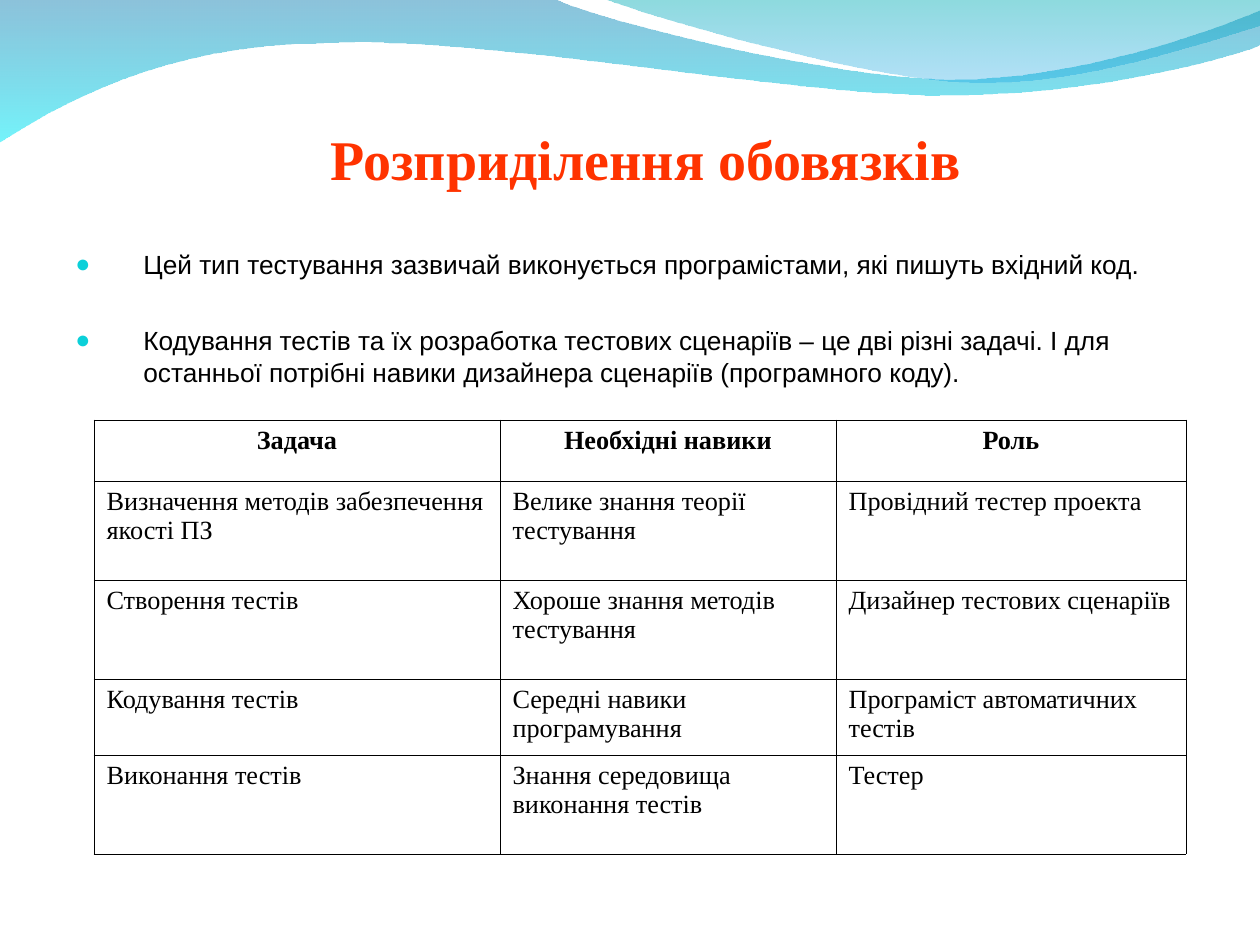
"""Build a slide on test roles: two waves, a title, two bullets and a table."""
from lxml.etree import SubElement
from pptx import Presentation
from pptx.dml.color import RGBColor
from pptx.enum.text import MSO_ANCHOR as Anchor, PP_ALIGN as Align
from pptx.oxml.ns import qn
from pptx.util import Pt

SCALE = 914400 / 126
COLORS = {
    "black": "000000",
    "title": "FF3300",
    "bullet": "0BD0D9",
    "deep_blue": "0079AF",
    "cyan": "00EBF8",
    "teal": "00ADB6",
    "sky": "009BE5",
}


def px(value):
    return round(value * SCALE)


def style(paragraph, name, size, color="black", bold=False):
    paragraph.font.name = name
    paragraph.font.size = Pt(size)
    paragraph.font.bold = bold
    paragraph.font.color.rgb = RGBColor.from_string(COLORS[color])


presentation = Presentation()
presentation.slide_width = px(1260)
presentation.slide_height = px(945)
slide = presentation.slides.add_slide(presentation.slide_layouts[6])

waves = [
    ((0, -1),
     [[(554, -1)],
      [(600, 21), (837, 79), (955, 79)], [(1075, 79), (1207, 33), (1260, 11)],
      [(1261, 45)],
      [(1239, 55), (1096, 96), (940, 95)], [(784, 95), (481, 35), (324, 43)],
      [(163, 44), (58, 105), (-1, 142)]],
     [("deep_blue", 45), ("cyan", 55)]),
    ((604, -1),
     [[(641, 14), (859, 78), (969, 82)], [(1079, 87), (1211, 40), (1260, 26)],
      [(1260, 0)]],
     [("teal", 45), ("sky", 30)]),
]
for start, segments, stops in waves:
    builder = slide.shapes.build_freeform(*start, scale=SCALE)
    builder.add_line_segments([point for segment in segments for point in segment], close=True)
    wave = builder.convert_to_shape()
    lines = wave._element.spPr.iter(qn("a:lnTo"))
    lines = iter(list(lines))
    for segment in segments:
        pieces = [next(lines) for point in segment]
        if len(pieces) == 3:
            outline = pieces[0].getparent()
            curve = SubElement(outline, qn("a:cubicBezTo"))
            outline.replace(pieces[0], curve)
            curve.append(pieces[0][0])
            for piece in pieces[1:]:
                curve.append(piece[0])
                outline.remove(piece)
    wave.shadow.inherit = False
    wave.line.fill.background()
    wave.fill.gradient()
    wave.fill.gradient_angle = 270
    for stop, (color, opacity) in zip(wave.fill.gradient_stops, stops):
        stop.color.rgb = RGBColor.from_string(COLORS[color])
    for element, (color, opacity) in zip(wave._element.spPr.iter(qn("a:srgbClr")), stops):
        SubElement(element, qn("a:alpha"), val=str(opacity * 1000))

title = slide.shapes.add_textbox(px(126), px(137), px(1040), px(55))
frame = title.text_frame
frame.word_wrap = True
frame.vertical_anchor = Anchor.BOTTOM
frame.margin_left = frame.margin_right = frame.margin_bottom = 0
paragraph = frame.paragraphs[0]
paragraph.text = "Розприділення обовязків"
paragraph.alignment = Align.CENTER
style(paragraph, "Times New Roman", 32, "title", True)

bullets = [
    ("Цей тип тестування зазвичай виконується програмістами, які пишуть вхідний код.", 3.7),
    ("Кодування тестів та їх розработка тестових сценаріїв – це дві різні задачі. "
     "І для останньої потрібні навики дизайнера сценаріїв (програмного коду).", 25.5),
]
body = slide.shapes.add_textbox(px(63), px(242), px(1134), px(609))
frame = body.text_frame
frame.word_wrap = True
for index, (text, gap) in enumerate(bullets):
    paragraph = frame.add_paragraph() if index else frame.paragraphs[0]
    paragraph.text = text
    paragraph.space_before = Pt(gap)
    style(paragraph, "Arial", 15)
    properties = paragraph._p.get_or_add_pPr()
    properties.set("marL", str(px(68)))
    properties.set("indent", str(-px(68)))
    bullet_color = SubElement(properties, qn("a:buClr"))
    SubElement(bullet_color, qn("a:srgbClr"), val=COLORS["bullet"])
    SubElement(properties, qn("a:buSzPct"), val="95000")
    SubElement(properties, qn("a:buFont"), typeface="Arial")
    SubElement(properties, qn("a:buChar"), char="●")
    properties.append(properties.find(qn("a:defRPr")))

rows = [
    ("Задача", "Необхідні навики", "Роль"),
    ("Визначення методів забезпечення якості ПЗ", "Велике знання теорії тестування",
     "Провідний тестер проекта"),
    ("Створення тестів", "Хороше знання методів тестування", "Дизайнер тестових сценаріїв"),
    ("Кодування тестів", "Середні навики програмування", "Програміст автоматичних тестів"),
    ("Виконання тестів", "Знання середовища виконання тестів", "Тестер"),
]
widths = [406, 336, 350]
heights = [61, 99, 99, 76, 99]
table = slide.shapes.add_table(len(rows), len(widths), px(94), px(420),
                               px(sum(widths)), px(sum(heights))).table
table.first_row = False
table.horz_banding = False
for column, width in zip(table.columns, widths):
    column.width = px(width)
for row_index, (texts, height) in enumerate(zip(rows, heights)):
    table.rows[row_index].height = px(height)
    for column_index, text in enumerate(texts):
        cell = table.cell(row_index, column_index)
        paragraph = cell.text_frame.paragraphs[0]
        paragraph.text = text
        paragraph.alignment = Align.LEFT if row_index else Align.CENTER
        style(paragraph, "Times New Roman", 15, bold=row_index == 0)
        properties = cell._tc.get_or_add_tcPr()
        for side in ("a:lnL", "a:lnR", "a:lnT", "a:lnB"):
            border = SubElement(properties, qn(side), w=str(Pt(0.45)))
            border_fill = SubElement(border, qn("a:solidFill"))
            SubElement(border_fill, qn("a:srgbClr"), val=COLORS["black"])
        cell.fill.background()

presentation.save("out.pptx")
